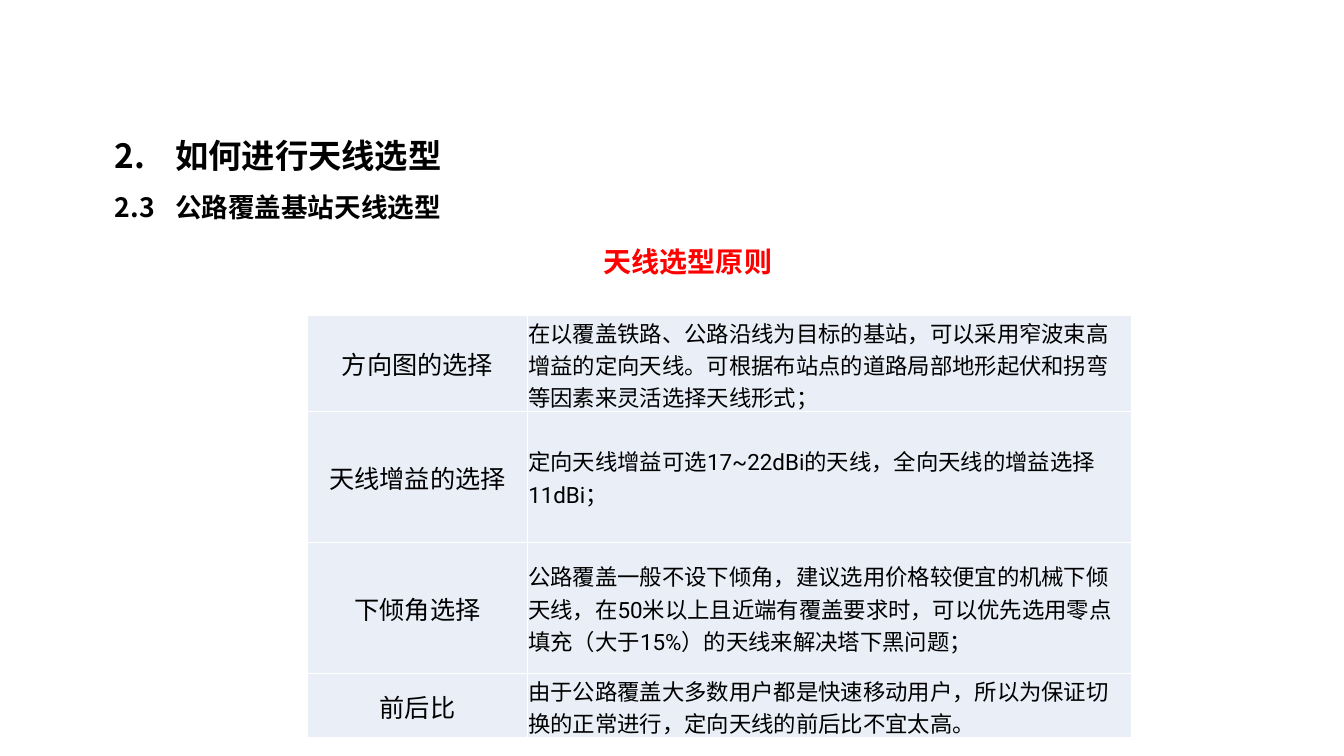
from lxml.etree import SubElement
from pptx import Presentation
from pptx.dml.color import RGBColor
from pptx.enum.text import MSO_ANCHOR as Anchor, MSO_AUTO_SIZE as AutoSize, PP_ALIGN as Align
from pptx.oxml.ns import qn
from pptx.util import Inches, Pt

CJK_FONT = "Noto Sans CJK SC"
HEADINGS = [("2.\t如何进行天线选型", 23.8), ("2.3\t公路覆盖基站天线选型", 19)]
PRINCIPLES = [
    (0.95, "方向图的选择", "在以覆盖铁路、公路沿线为目标的基站，可以采用窄波束高增益的定向天线。"
                     "可根据布站点的道路局部地形起伏和拐弯等因素来灵活选择天线形式；"),
    (1.3, "天线增益的选择", "定向天线增益可选17~22dBi的天线，全向天线的增益选择11dBi；"),
    (1.3, "下倾角选择", "公路覆盖一般不设下倾角，建议选用价格较便宜的机械下倾天线，"
                   "在50米以上且近端有覆盖要求时，可以优先选用零点填充（大于15%）的天线来解决塔下黑问题；"),
    (0.64, "前后比", "由于公路覆盖大多数用户都是快速移动用户，所以为保证切换的正常进行，"
                  "定向天线的前后比不宜太高。"),
]
COLUMN_WIDTHS = (2.18, 5.99)
CELL_FORMAT = {
    "vertical_anchor": Anchor.MIDDLE,
    "margin_left": Inches(0.01),
    "margin_right": Inches(0.01),
    "margin_top": Inches(0.01),
    "margin_bottom": Inches(0),
}


def rgb(value):
    """Turn a hex string into a colour."""
    return RGBColor.from_string(value)


def apply(target, formats):
    """Set each attribute named in the formats."""
    for name, value in formats.items():
        setattr(target, name, value)


def write(paragraph, text, size, latin, color="000000", bold=False):
    """Add one styled run with Latin and East Asian fonts."""
    run = paragraph.add_run()
    run.text = text
    apply(run.font, {"size": Pt(size), "name": latin, "bold": bold})
    run.font.color.rgb = rgb(color)
    SubElement(run.font._element, qn("a:ea"), typeface=CJK_FONT)


def add_frame(slide, left, top, width, height, wrap):
    """Add a text box that grows with its text."""
    frame = slide.shapes.add_textbox(
        Inches(left), Inches(top), Inches(width), Inches(height)).text_frame
    apply(frame, {"word_wrap": wrap, "auto_size": AutoSize.SHAPE_TO_FIT_TEXT})
    return frame


def add_headings(slide):
    """Add the numbered section headings, aligned at a tab stop."""
    frame = add_frame(slide, 1.04, 1.09, 4.02, 1.18, True)
    for index, (heading, size) in enumerate(HEADINGS):
        paragraph = frame.add_paragraph() if index else frame.paragraphs[0]
        paragraph.line_spacing = 1.5
        tabs = SubElement(paragraph._p.get_or_add_pPr(), qn("a:tabLst"))
        SubElement(tabs, qn("a:tab"), pos=str(Inches(0.6)), algn="l")
        write(paragraph, heading, size, CJK_FONT, bold=True)


def add_borders(cell, color):
    """Draw a one-point line on every side of a cell."""
    properties = cell._tc.get_or_add_tcPr()
    for side in ("lnL", "lnR", "lnT", "lnB"):
        line = SubElement(properties, qn(f"a:{side}"), w=str(Pt(1)))
        SubElement(SubElement(line, qn("a:solidFill")), qn("a:srgbClr"), val=color)


def fill_cell(cell, text, size, align):
    """Format a cell and write its text."""
    apply(cell, CELL_FORMAT)
    add_borders(cell, "FFFFFF")
    cell.fill.solid()
    cell.fill.fore_color.rgb = rgb("EAEFF7")
    paragraph = cell.text_frame.paragraphs[0]
    paragraph.alignment = align
    write(paragraph, text, size, "Roboto")


def add_principles(slide):
    """Add the table of antenna selection principles."""
    table = slide.shapes.add_table(
        len(PRINCIPLES), len(COLUMN_WIDTHS), Inches(3.05), Inches(3.13),
        Inches(sum(COLUMN_WIDTHS)), Inches(sum(row[0] for row in PRINCIPLES))).table
    apply(table, {"first_row": False, "horz_banding": False})
    for column, width in zip(table.columns, COLUMN_WIDTHS):
        column.width = Inches(width)
    for row, (height, topic, advice) in zip(table.rows, PRINCIPLES):
        row.height = Inches(height)
        fill_cell(row.cells[0], topic, 18, Align.CENTER)
        fill_cell(row.cells[1], advice, 16, Align.LEFT)


def main():
    """Build and save the slide."""
    deck = Presentation()
    apply(deck, {"slide_width": Inches(13.33), "slide_height": Inches(7.5)})
    slide = deck.slides.add_slide(deck.slide_layouts[6])
    add_headings(slide)
    add_principles(slide)
    caption = add_frame(slide, 5.89, 2.38, 1.88, 0.44, False)
    write(caption.paragraphs[0], "天线选型原则", 20, "Arial", "FF0000", True)
    deck.save("out.pptx")


if __name__ == "__main__":
    main()
